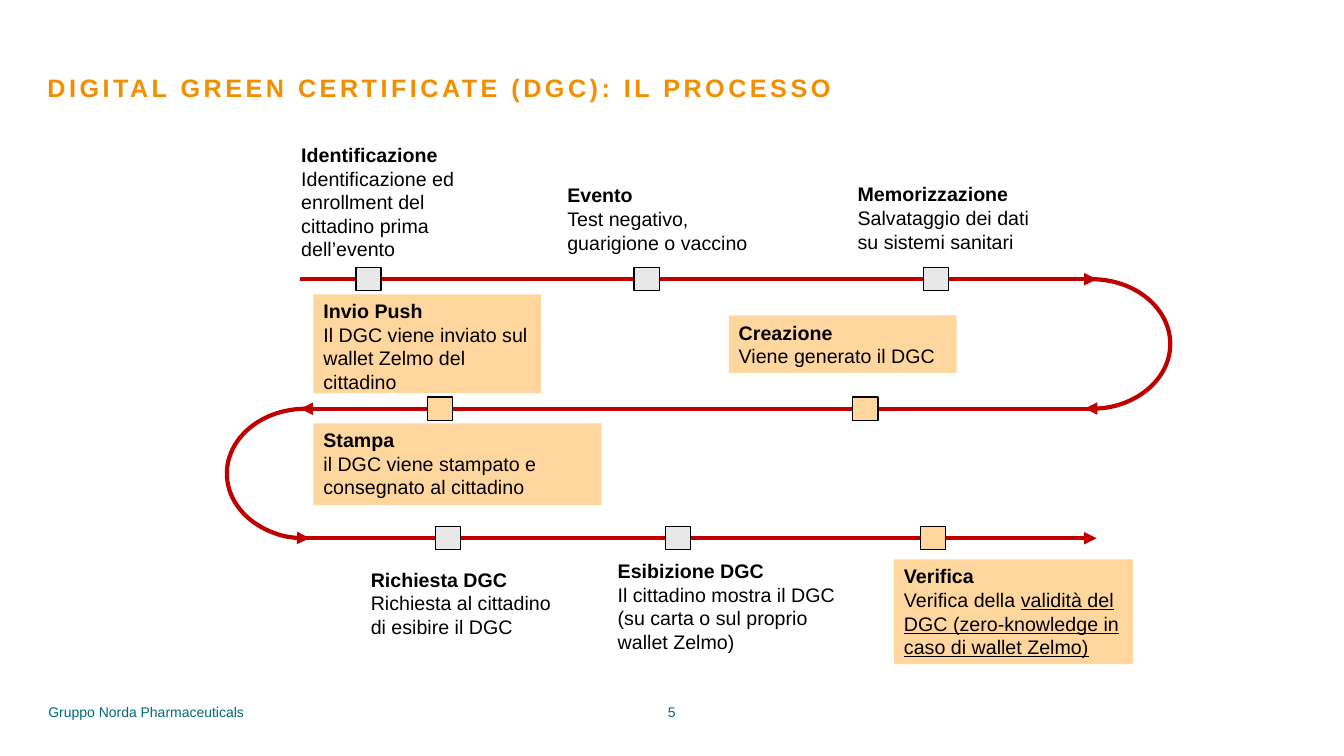
"""Build the slide on the digital green certificate process."""
from lxml import etree
from pptx import Presentation
from pptx.dml.color import RGBColor
from pptx.enum.shapes import MSO_CONNECTOR, MSO_SHAPE
from pptx.enum.text import MSO_ANCHOR, MSO_AUTO_SIZE, PP_ALIGN
from pptx.oxml.ns import qn
from pptx.util import Inches, Pt

STRAIGHT = MSO_CONNECTOR.STRAIGHT
RECTANGLE, ARC = MSO_SHAPE.RECTANGLE, MSO_SHAPE.ARC
TOP, MIDDLE = MSO_ANCHOR.TOP, MSO_ANCHOR.MIDDLE
LEFT, CENTER = PP_ALIGN.LEFT, PP_ALIGN.CENTER
NO_AUTOFIT = MSO_AUTO_SIZE.NONE

SLIDE_WIDTH, SLIDE_HEIGHT = Inches(13.33), Inches(7.5)
COLUMN, ROW = SLIDE_WIDTH / 40, SLIDE_HEIGHT / 30
TRACK_START, TRACK_END = 8.94, 32.64
TRACK_TOP, TRACK_GAP = 11.08, 5.14
BEND_WIDTH = 4.68
MARKER_WIDTH, MARKER_HEIGHT = 0.75, 0.92
FONT = "Arial"
COLORS = {
    "title": "F28F00",
    "footer": "00697A",
    "track": "C00000",
    "text": "000000",
    "grey": "E8E8E8",
    "highlight": "FFD79E",
}

TRACK_ARROWS = ["tailEnd", "headEnd", "tailEnd"]
BENDS = [(30.15, 0, 0, "tailEnd"), (6.75, 1, 180, "headEnd")]
MARKERS = [
    (10.59, 0, "grey"), (18.87, 0, "grey"), (27.48, 0, "grey"),
    (25.38, 1, "highlight"), (12.72, 1, "highlight"),
    (12.96, 2, "grey"), (19.8, 2, "grey"), (27.39, 2, "highlight"),
]
STEPS = [
    ((8.67, 5.48, 5.4, 5.12), None, "Identificazione",
     "Identificazione ed enrollment del cittadino prima dell’evento", ""),
    ((16.59, 7.08, 6.06, 3.24), None, "Evento",
     "Test negativo, guarigione o vaccino", ""),
    ((25.23, 7.04, 6.06, 3.24), None, "Memorizzazione",
     "Salvataggio dei dati su sistemi sanitari", ""),
    ((21.69, 12.52, 6.78, 2.28), "highlight", "Creazione",
     "Viene generato il DGC", ""),
    ((9.33, 11.68, 6.78, 3.92), "highlight", "Invio Push",
     "Il DGC viene inviato sul wallet Zelmo del cittadino", ""),
    ((9.33, 16.8, 8.58, 3.24), "highlight", "Stampa",
     "il DGC viene stampato e consegnato al cittadino", ""),
    ((10.74, 22.32, 6.48, 3.24), None, "Richiesta DGC",
     "Richiesta al cittadino di esibire il DGC", ""),
    ((18.09, 22, 7.11, 4.16), None, "Esibizione DGC",
     "Il cittadino mostra il DGC (su carta o sul proprio wallet Zelmo)", ""),
    ((26.61, 22.2, 7.11, 4.16), "highlight", "Verifica", "Verifica della ",
     "validità del DGC (zero-knowledge in caso di wallet Zelmo)"),
]


def color(name):
    """Return the named colour."""
    return RGBColor.from_string(COLORS[name])


def place(left, top, width, height):
    """Convert a box from columns and rows to slide lengths."""
    return (round(left * COLUMN), round(top * ROW),
            round(width * COLUMN), round(height * ROW))


def track_row(index):
    """Return the row on which a track runs."""
    return TRACK_TOP + index * TRACK_GAP


def format_font(font, size, name, bold=False):
    """Set the typeface, size, colour and weight of a font."""
    font.name, font.size, font.bold = FONT, Pt(size), bold
    font.color.rgb = color(name)


def format_track(shape, arrow):
    """Give a track its thick line and one arrowhead."""
    shape.line.color.rgb = color("track")
    shape.line.width = Pt(3)
    line = shape.line._get_or_add_ln()
    etree.SubElement(line, qn("a:" + arrow), type="triangle")


def add_track(slide, index, arrow):
    """Add one straight stretch of the process."""
    left, top, width, _ = place(
        TRACK_START, track_row(index), TRACK_END - TRACK_START, 0)
    track = slide.shapes.add_connector(STRAIGHT, left, top, left + width, top)
    format_track(track, arrow)
    etree.SubElement(track._element.spPr, qn("a:effectLst"))


def add_bend(slide, left, index, rotation, arrow):
    """Add the half ring that joins two tracks."""
    bend = slide.shapes.add_shape(
        ARC, *place(left, track_row(index), BEND_WIDTH, TRACK_GAP))
    bend.adjustments[0], bend.adjustments[1] = 159.79, 57.63
    bend.rotation = rotation
    bend.fill.background()
    format_track(bend, arrow)
    bend.shadow.inherit = False


def add_rectangle(slide, box, fill):
    """Add a filled rectangle without a shadow."""
    rectangle = slide.shapes.add_shape(RECTANGLE, *place(*box))
    rectangle.shadow.inherit = False
    rectangle.fill.solid()
    rectangle.fill.fore_color.rgb = color(fill)
    rectangle.line.fill.background()
    return rectangle


def add_marker(slide, left, index, fill):
    """Add an outlined marker centred on a track."""
    top = track_row(index) - MARKER_HEIGHT / 2
    marker = add_rectangle(
        slide, (left, top, MARKER_WIDTH, MARKER_HEIGHT), fill)
    marker.line.color.rgb = color("text")
    marker.line.width = Pt(1)


def add_step(slide, box, fill, heading, plain, underlined):
    """Add a step with a bold heading and its description."""
    if fill:
        shape = add_rectangle(slide, box, fill)
    else:
        shape = slide.shapes.add_textbox(*place(*box))
    frame = shape.text_frame
    frame.word_wrap = True
    frame.vertical_anchor = TOP
    frame.text = heading
    description = frame.add_paragraph()
    for text in filter(None, (plain, underlined)):
        run = description.add_run()
        run.text = text
        run.font.underline = text == underlined
    for paragraph in frame.paragraphs:
        paragraph.alignment = LEFT
        for run in paragraph.runs:
            format_font(run.font, 14, "text", paragraph is not description
                        and run.text == heading)


def clear_margins(frame):
    """Remove the inner margins of a text frame."""
    frame.margin_left = frame.margin_right = 0
    frame.margin_top = frame.margin_bottom = 0


def set_title(slide, text):
    """Move and format the title placeholder."""
    title = slide.shapes.title
    title.left, title.top, title.width, title.height = place(
        1.41, 3, 37.02, 2.84)
    frame = title.text_frame
    frame.text = text
    frame.auto_size = NO_AUTOFIT
    frame.vertical_anchor = TOP
    clear_margins(frame)
    paragraph = frame.paragraphs[0]
    paragraph.alignment, paragraph.line_spacing = LEFT, 0.9
    font = paragraph.runs[0].font
    format_font(font, 18, "title", True)
    font._element.set("spc", "250")


def add_footer(slide, box, text, alignment, wrap):
    """Add a small text at the foot of the slide."""
    frame = slide.shapes.add_textbox(*place(*box)).text_frame
    frame.text = text
    frame.word_wrap = wrap
    frame.vertical_anchor = MIDDLE
    clear_margins(frame)
    paragraph = frame.paragraphs[0]
    paragraph.alignment = alignment
    format_font(paragraph.runs[0].font, 10, "footer")


def main():
    """Build and save the presentation."""
    presentation = Presentation()
    presentation.slide_width = SLIDE_WIDTH
    presentation.slide_height = SLIDE_HEIGHT
    slide = presentation.slides.add_slide(presentation.slide_layouts[5])
    set_title(slide, "DIGITAL GREEN CERTIFICATE (DGC): IL PROCESSO")
    add_footer(slide, (1.44, 27.92, 6.06, 0.68),
               "Gruppo Norda Pharmaceuticals", LEFT, False)
    add_footer(slide, (19.41, 27.92, 1.17, 0.68), "5", CENTER, True)
    for index, arrow in enumerate(TRACK_ARROWS):
        add_track(slide, index, arrow)
    for bend in BENDS:
        add_bend(slide, *bend)
    for step in STEPS:
        add_step(slide, *step)
    for marker in MARKERS:
        add_marker(slide, *marker)
    presentation.save("out.pptx")


if __name__ == "__main__":
    main()
